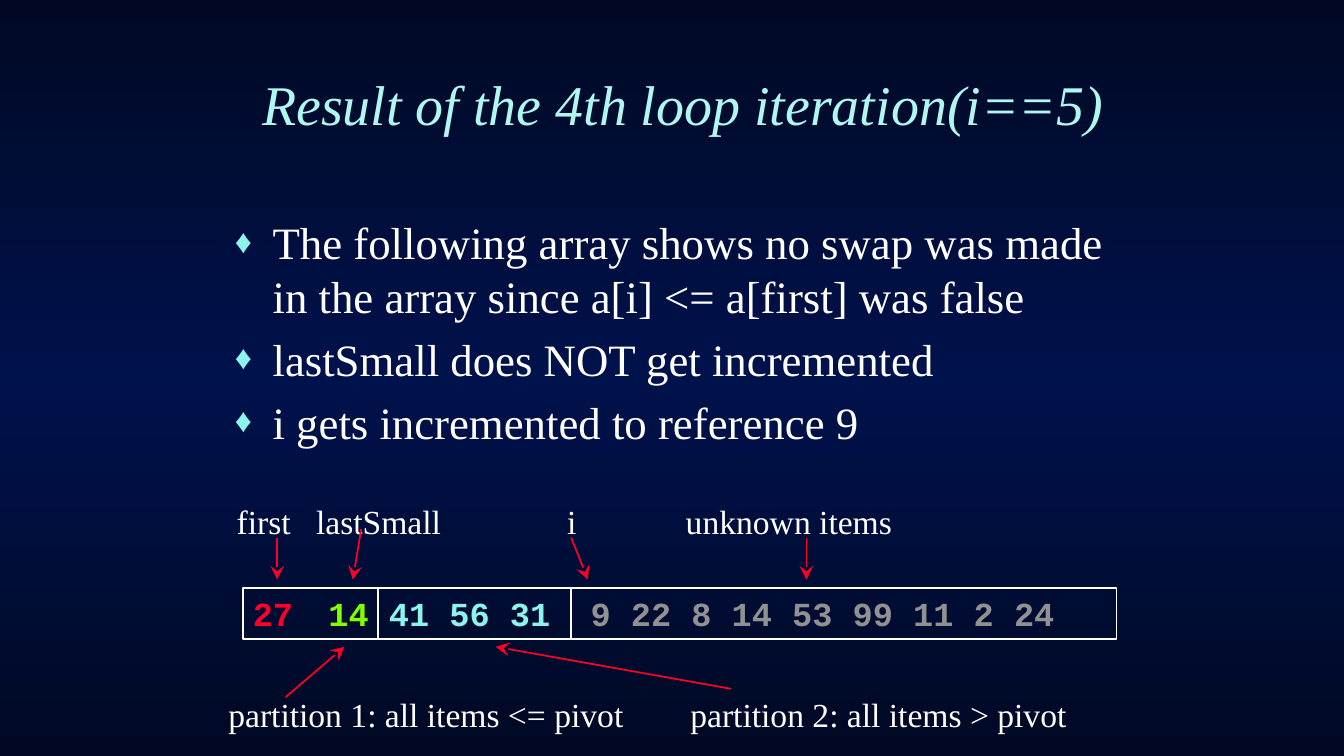
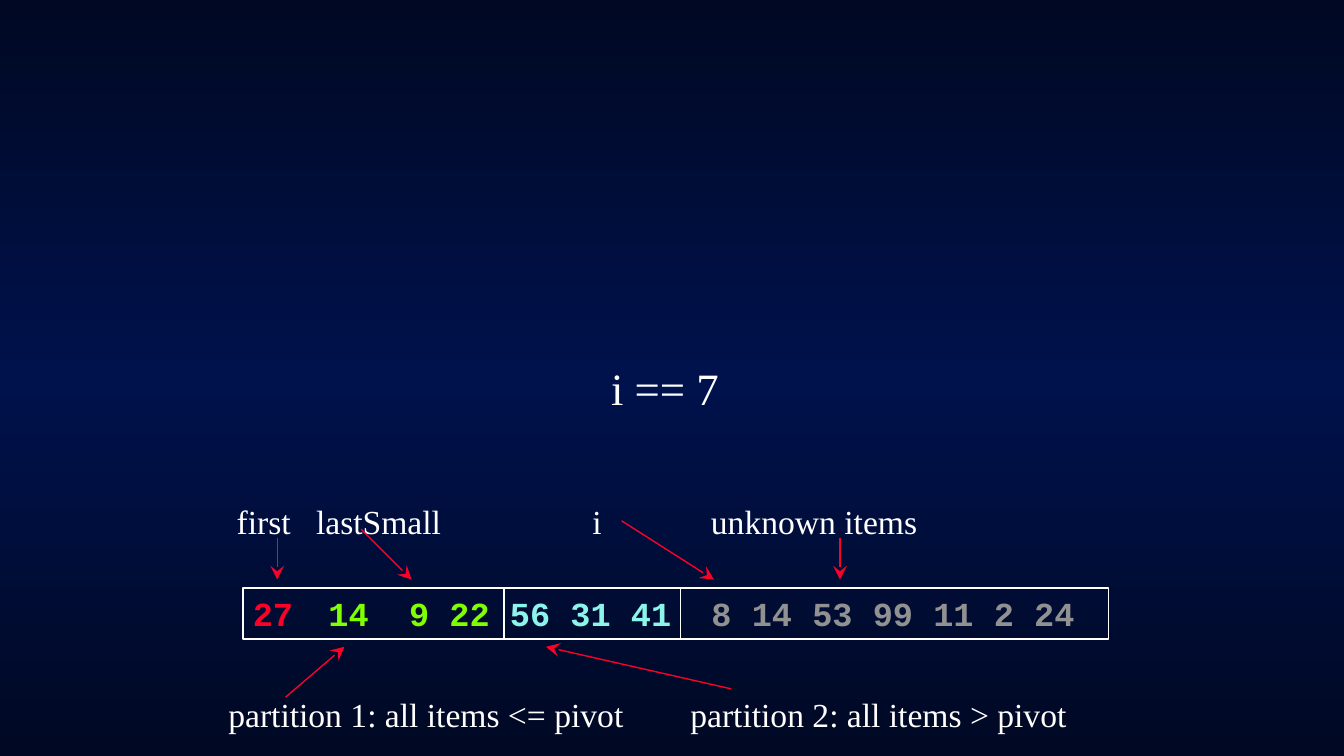
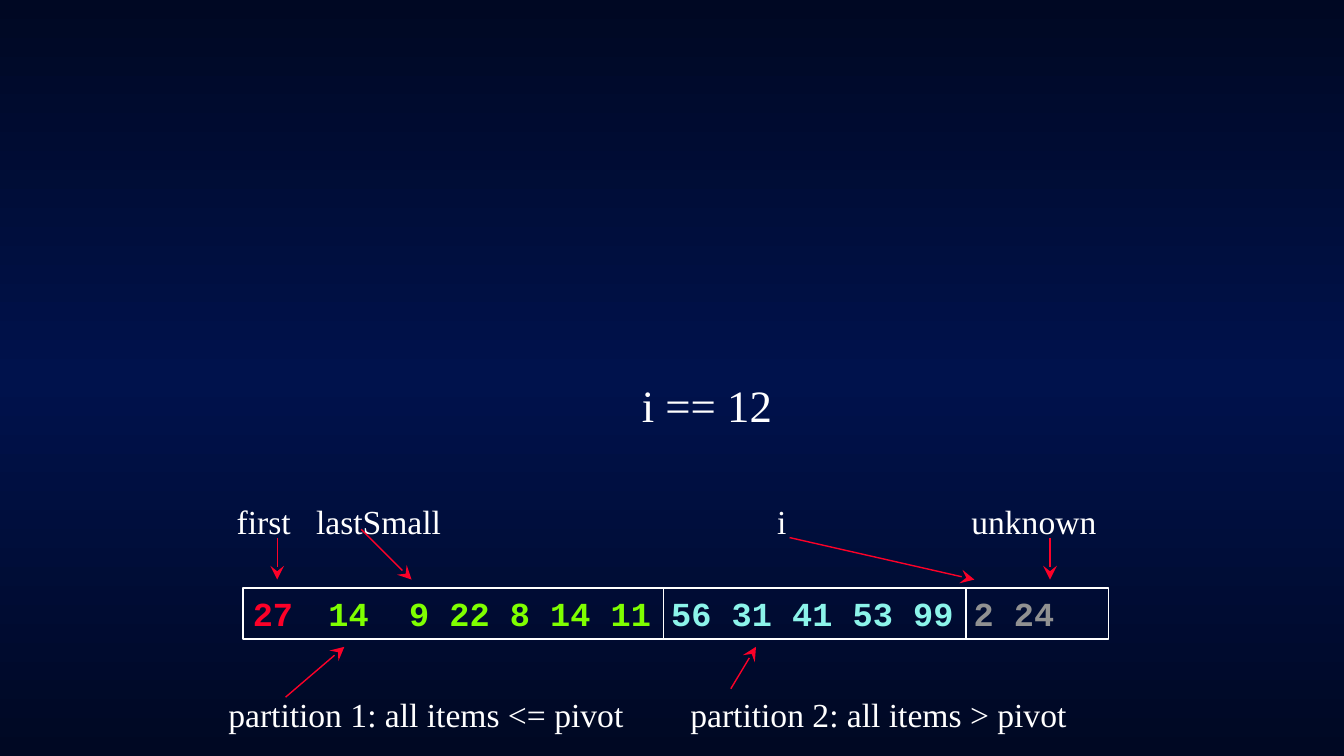
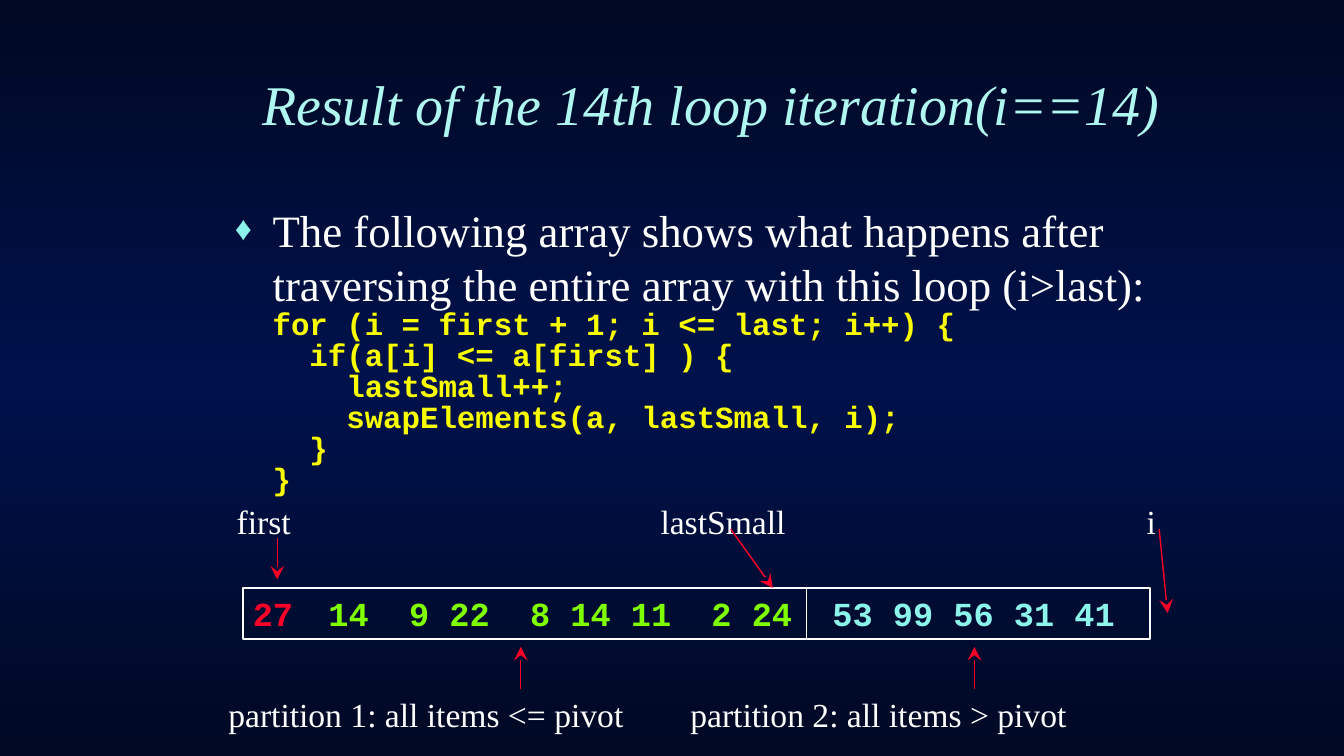
from copy import deepcopy

from pptx import Presentation
from pptx.dml.color import RGBColor
from pptx.enum.shapes import MSO_CONNECTOR, MSO_SHAPE
from pptx.enum.text import MSO_ANCHOR, MSO_AUTO_SIZE, PP_ALIGN
from pptx.oxml.ns import qn
from pptx.oxml.xmlchemy import OxmlElement
from pptx.util import Pt

STRAIGHT = MSO_CONNECTOR.STRAIGHT
RECTANGLE = MSO_SHAPE.RECTANGLE
TOP, MIDDLE = MSO_ANCHOR.TOP, MSO_ANCHOR.MIDDLE
LEFT, CENTER = PP_ALIGN.LEFT, PP_ALIGN.CENTER
NO_AUTOFIT = MSO_AUTO_SIZE.NONE

NIGHT = RGBColor(0x00, 0x08, 0x23)
NAVY = RGBColor(0x00, 0x12, 0x4C)
WHITE = RGBColor(0xFF, 0xFF, 0xFF)
PALE_AQUA = RGBColor(0xAF, 0xF7, 0xF0)
AQUA = RGBColor(0x8C, 0xF4, 0xEA)
RED = RGBColor(0xFC, 0x01, 0x28)
GREEN = RGBColor(0x7F, 0xFF, 0x00)
GRAY = RGBColor(0x91, 0x91, 0x91)
YELLOW = RGBColor(0xFA, 0xFD, 0x00)

SERIF, MONO = "Times New Roman", "Courier New"
TITLE_FONT = {"name": SERIF, "size": Pt(40), "italic": True, "bold": False}
BODY_FONT = {"name": SERIF, "size": Pt(32)}
LABEL_FONT = {"name": SERIF, "size": Pt(24)}
CODE_FONT = {"name": MONO, "size": Pt(22), "bold": True}
ARRAY_FONT = {"name": MONO, "size": Pt(24), "bold": True}
FRAME = {"word_wrap": True, "auto_size": NO_AUTOFIT, "vertical_anchor": TOP}

ARRAY_LEFT, ARRAY_TOP, ARRAY_BOTTOM = 173.5, 420, 456
TEXT_HEIGHT, TEXT_PADDING = 36.5, 24
ARROW_TOP, ARROW_END = 384, 414
BELOW_START, BELOW_END = 492, 462
FIRST_ITEM, CHARACTER = 54, 14.4
HANGING = 27

FIRST_ARROW = ((198, ARROW_TOP), (198, ARROW_END))
SMALL_ARROW = ((258, 378), (294, ARROW_END))
PARTITION_1_ARROW = ((204, 498), (246, BELOW_END))


def apply_format(target, values):
    """Set every attribute in a dict of format values."""
    for name, value in values.items():
        setattr(target, name, value)


def place(shape, left, top, width, height):
    """Move and size a shape in points."""
    apply_format(shape, {"left": Pt(left), "top": Pt(top), "width": Pt(width), "height": Pt(height)})


def add_run(paragraph, text, font, color):
    """Append formatted text to a paragraph."""
    run = paragraph.add_run()
    run.text = text
    apply_format(run.font, font)
    run.font.color.rgb = color


def add_child(parent, tag, **attributes):
    """Append an XML element with attributes and return it."""
    child = OxmlElement(tag)
    for name, value in attributes.items():
        child.set(name, str(value))
    parent.append(child)
    return child


def set_indent(paragraph, margin, first_line=0):
    """Set left margin and first line indent in points."""
    properties = paragraph._p.get_or_add_pPr()
    properties.set("marL", str(Pt(margin)))
    properties.set("indent", str(Pt(first_line)))
    return properties


def set_bullet(paragraph):
    """Give a paragraph a hanging diamond bullet."""
    properties = set_indent(paragraph, HANGING, -HANGING)
    color = add_child(properties, "a:buClr")
    add_child(color, "a:srgbClr", val=AQUA)
    add_child(properties, "a:buSzPct", val=75000)
    add_child(properties, "a:buFont", typeface=SERIF)
    add_child(properties, "a:buChar", char="♦")


def set_plain(paragraph, margin=0):
    """Give a paragraph no bullet."""
    add_child(set_indent(paragraph, margin), "a:buNone")


def prepare_master(presentation):
    """Set slide size, shared background and title place."""
    apply_format(presentation, {"slide_width": Pt(960), "slide_height": Pt(540)})
    master = presentation.slide_master
    fill = master.background.fill
    fill.gradient()
    fill.gradient_angle = 90
    stops = master.element.find(".//" + qn("a:gsLst"))
    stops.insert(1, deepcopy(stops[0]))
    stops[1].set("pos", "50000")
    for stop, color in zip(fill.gradient_stops, (NIGHT, NAVY, NIGHT)):
        stop.color.rgb = color
    place(master.placeholders[0], 31.5, 21, 896, 105)


def add_slide(presentation, title=None):
    """Add a slide with an optional title."""
    slide = presentation.slides.add_slide(presentation.slide_layouts[1])
    shape = slide.shapes.title
    if title is None:
        shape.element.getparent().remove(shape.element)
        return slide
    apply_format(shape.text_frame, {**FRAME, "vertical_anchor": MIDDLE})
    paragraph = shape.text_frame.paragraphs[0]
    paragraph.alignment = LEFT
    set_indent(paragraph, 148.5)
    add_run(paragraph, title, TITLE_FONT, PALE_AQUA)
    return slide


def fill_body(slide, box, bullets, code=()):
    """Fill the body with bullets followed by code lines."""
    body = slide.placeholders[1]
    place(body, *box)
    frame = body.text_frame
    apply_format(frame, FRAME)
    for index, text in enumerate([*bullets, *code]):
        paragraph = frame.add_paragraph() if index else frame.paragraphs[0]
        if index < len(bullets):
            set_bullet(paragraph)
            spacing, font, color = {"space_before": Pt(6.4)}, BODY_FONT, WHITE
        else:
            set_plain(paragraph, HANGING)
            spacing = {"space_before": Pt(1.1), "line_spacing": 0.8}
            font, color = CODE_FONT, YELLOW
        apply_format(paragraph, spacing)
        if index == 0:
            paragraph.space_before = Pt(0)
        add_run(paragraph, text, font, color)


def fill_caption(slide, left, top, text):
    """Show one centred line in the body."""
    body = slide.placeholders[1]
    place(body, left, top, 654, 228)
    apply_format(body.text_frame, {**FRAME, "margin_top": Pt(119.5)})
    paragraph = body.text_frame.paragraphs[0]
    set_plain(paragraph)
    apply_format(paragraph, {"alignment": CENTER, "space_before": Pt(0)})
    add_run(paragraph, text, BODY_FONT, WHITE)


def add_text(slide, left, top, text, font, color):
    """Add one line of text in a box that is wide enough."""
    width = CHARACTER * len(text) + TEXT_PADDING
    box = slide.shapes.add_textbox(Pt(left), Pt(top), Pt(width), Pt(TEXT_HEIGHT))
    apply_format(box.text_frame, FRAME)
    add_run(box.text_frame.paragraphs[0], text, font, color)


def add_labels(slide, left, top, labels):
    """Add a row of labels given as offset and text."""
    for offset, text in labels:
        add_text(slide, left + offset, top, text, LABEL_FONT, WHITE)


def add_line(slide, start, end, color, width, arrow=False):
    """Draw a straight line, with an arrowhead if asked."""
    line = slide.shapes.add_connector(STRAIGHT, *map(Pt, (*start, *end)))
    line.line.color.rgb = color
    line.line.width = Pt(width)
    if arrow:
        add_child(line.line._get_or_add_ln(), "a:tailEnd", type="stealth", w="lg", len="lg")
    add_child(line._element.spPr, "a:effectLst")


def add_array(slide, width, groups, dividers):
    """Draw the array with coloured groups given by character column."""
    box = slide.shapes.add_shape(
        RECTANGLE, Pt(ARRAY_LEFT), Pt(ARRAY_TOP), Pt(width), Pt(TEXT_HEIGHT))
    box.shadow.inherit = False
    box.fill.background()
    box.line.color.rgb = WHITE
    box.line.width = Pt(1)
    apply_format(box.text_frame, FRAME)
    paragraph = box.text_frame.paragraphs[0]
    paragraph.alignment = LEFT
    add_run(paragraph, "27", ARRAY_FONT, RED)
    for column, text, color in groups:
        left = ARRAY_LEFT + FIRST_ITEM + CHARACTER * column
        add_text(slide, left, ARRAY_TOP, text, ARRAY_FONT, color)
    for x in dividers:
        add_line(slide, (x, ARRAY_TOP), (x, ARRAY_BOTTOM), WHITE, 1)


def add_diagram(slide, width, groups, dividers, labels, arrows, arrow_width=1):
    """Draw the array with its labels and arrows."""
    add_array(slide, width, groups, dividers)
    add_labels(slide, 162, 354, [(0, "first"), *labels])
    add_labels(slide, 156, 492, [(0, "partition 1: all items <= pivot"),
                                 (330, "partition 2: all items > pivot")])
    for start, end in (FIRST_ARROW, *arrows):
        add_line(slide, start, end, RED, arrow_width, arrow=True)


def main():
    """Build the presentation."""
    presentation = Presentation()
    prepare_master(presentation)

    slide = add_slide(presentation, "Result of the 4th loop iteration(i==5)")
    fill_body(slide, (160.5, 150, 667.5, 178), [
        "The following array shows no swap was made in the array since a[i] <= a[first] was false",
        "lastSmall does NOT get incremented",
        "i gets incremented to reference 9",
    ])
    add_diagram(
        slide, 624,
        [(0, "14", GREEN), (3, "41 56 31", AQUA), (13, "9 22 8 14 53 99 11 2 24", GRAY)],
        (270, 408),
        [(56.7, "lastSmall"), (236, "i"), (320.7, "unknown items")],
        [((258, 378), (252, ARROW_END)), ((408, ARROW_TOP), (420, ARROW_END)),
         ((576, ARROW_TOP), (576, ARROW_END)), PARTITION_1_ARROW,
         ((522, BELOW_START), (354, BELOW_END))],
        arrow_width=1.25)

    slide = add_slide(presentation)
    fill_caption(slide, 148, 138, "i == 7")
    add_diagram(
        slide, 618.5,
        [(0, "14", GREEN), (4, "9 22", GREEN), (9, "56 31 41", AQUA),
         (19, "8 14 53 99 11 2 24", GRAY)],
        (360, 486),
        [(56.7, "lastSmall"), (254, "i"), (338.7, "unknown items")],
        [SMALL_ARROW, ((444, 372), (510, ARROW_END)), ((600, ARROW_TOP), (600, ARROW_END)),
         PARTITION_1_ARROW, ((522, BELOW_START), (390, BELOW_END))])

    slide = add_slide(presentation)
    fill_caption(slide, 178, 150, "i == 12")
    add_diagram(
        slide, 618.5,
        [(0, "14", GREEN), (4, "9 22 8 14 11", GREEN), (17, "56 31 41 53 99", AQUA),
         (32, "2 24", GRAY)],
        (474, 690),
        [(56.7, "lastSmall"), (386, "i"), (524.7, "unknown")],
        [SMALL_ARROW, ((564, ARROW_TOP), (696, ARROW_END)), ((750, ARROW_TOP), (750, ARROW_END)),
         PARTITION_1_ARROW, ((522, BELOW_START), (540, BELOW_END))])

    slide = add_slide(presentation, "Result of the 14th loop iteration(i==14)")
    fill_body(slide, (160.5, 141, 667.5, 222), [
        "The following array shows what happens after traversing the entire array "
        "with this loop (i>last):",
    ], [
        "for (i = first + 1; i <= last; i++) {",
        "  if(a[i] <= a[first] ) {",
        "    lastSmall++;",
        "    swapElements(a, lastSmall, i);",
        "  }",
        "}",
    ])
    add_diagram(
        slide, 648,
        [(0, "14", GREEN), (4, "9 22", GREEN), (10, "8 14 11", GREEN), (19, "2 24", GREEN),
         (25, "53 99 56 31 41", AQUA)],
        (576,),
        [(302.7, "lastSmall"), (650, "i")],
        [((522, 378), (552, ARRAY_TOP)), ((828, 378), (834, 438)),
         ((372, BELOW_START), (372, BELOW_END)), ((696, BELOW_START), (696, BELOW_END))])

    presentation.save("out.pptx")


if __name__ == "__main__":
    main()
